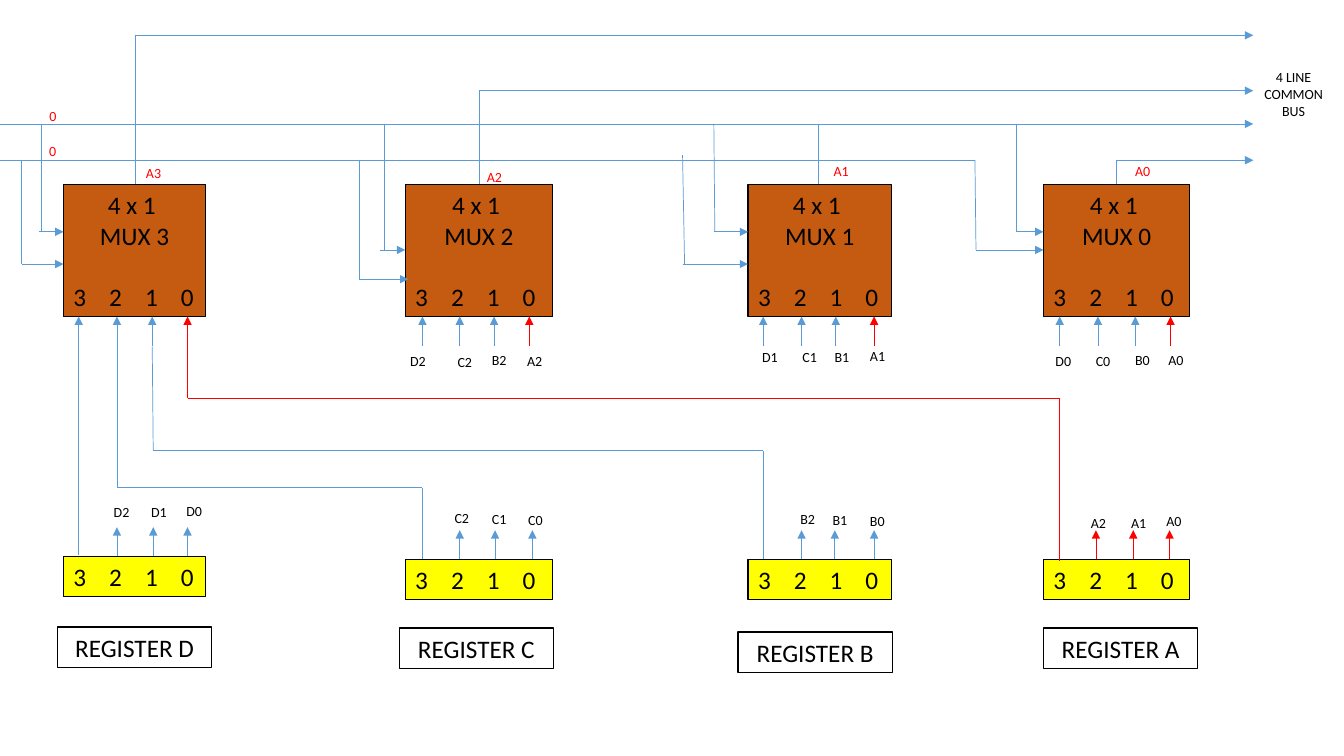
from collections import namedtuple
from itertools import pairwise

from lxml.etree import SubElement as Sub
from pptx import Presentation
from pptx.dml.color import RGBColor
from pptx.enum.shapes import MSO_CONNECTOR as Link, MSO_SHAPE as Kind
from pptx.enum.text import MSO_ANCHOR as Anchor, MSO_AUTO_SIZE as Fit, PP_ALIGN as Align
from pptx.oxml.ns import qn
from pptx.util import Inches, Pt

INK = {
    "mux": "C55A11",
    "reg": "FFFF00",
    "white": "FFFFFF",
    "black": "000000",
    "red": "FF0000",
    "blue": "5B9BD5",
}
FONT = "Calibri"
DIGITS = "3\t2\t1\t0"
TAB = 0.355
MUX_TOP, MUX_HIGH, MUX_END = 1.83, 1.31, 3.14
BAR = 0.4
STEM = 0.29
BUS_END = 12.43
HIGH, LOW = 1.23, 1.59
LABEL = 0.27

Stage = namedtuple("Stage", "name num left wide pins outs top tag ins ups")
STAGES = [
    Stage("D", 3, 0.63, 1.41, (0.78, 1.16, 1.51, 1.86), (1.16, 1.52, 1.86),
          5.52, (0.57, 6.22), (),
          ((1.03, 4.95, 0.44), (1.4, 4.95, 0.36), (1.75, 4.94, 0.47))),
    Stage("C", 2, 4.02, 1.46, (4.19, 4.56, 4.9, 5.25), (4.56, 4.91, 5.28),
          5.55, (3.96, 6.23),
          ((3.97, 3.45, 0.36), (4.44, 3.46, 0.36), (4.78, 3.44, 0.36), (5.13, 3.45, 0.36)),
          ((4.41, 5.01, 0.39), (4.78, 5.02, 0.37), (5.14, 5.03, 0.36))),
    Stage("B", 1, 7.42, 1.42, (7.57, 7.95, 8.29, 8.67), (7.95, 8.28, 8.67),
          5.55, (7.32, 6.27),
          ((7.46, 3.41, 0.4), (7.86, 3.41, 0.38), (8.18, 3.41, 0.36), (8.53, 3.4, 0.41)),
          ((7.84, 5.02, 0.46), (8.16, 5.03, 0.37), (8.53, 5.04, 0.65))),
    Stage("A", 0, 10.35, 1.45, (10.51, 10.89, 11.26, 11.61), (10.87, 11.24, 11.6),
          5.55, (10.35, 6.23),
          ((10.37, 3.45, 0.37), (10.77, 3.45, 0.36), (11.16, 3.44, 0.43), (11.49, 3.44, 0.47)),
          ((10.72, 5.06, 0.51), (11.12, 5.06, 0.45), (11.47, 5.04, 0.36))),
]

PLAIN = [
    ((0.78, 3.43), (0.78, 5.51)),
    ((1.16, 3.43), (1.16, 4.84), (4.19, 4.84), (4.19, 5.55)),
    ((1.51, 3.44), (1.52, 4.47), (7.57, 4.47), (7.57, 5.55)),
    ((8.12, MUX_TOP), (8.12, HIGH)),
    ((0, LOW), (0.39, LOW), (9.67, LOW), (9.68, 2.48), (9.82, 2.48)),
    ((0.41, HIGH), (0.41, 2.3)),
    ((0.21, LOW), (0.21, 2.62)),
    ((3.81, HIGH), (3.81, 2.48)),
    ((3.56, LOW), (3.56, 2.77)),
    ((7.08, HIGH), (7.09, 2.3)),
    ((6.77, 1.54), (6.79, 2.62)),
    ((10.08, HIGH), (10.08, 2.3)),
]
ARROWS = [
    ((0, HIGH), (0.39, HIGH), (BUS_END, HIGH)),
    ((1.34, MUX_TOP), (1.34, 0.35), (BUS_END, 0.35)),
    ((4.75, MUX_TOP), (4.75, 0.9), (BUS_END, 0.9)),
    ((11.07, MUX_TOP), (11.07, LOW), (BUS_END, LOW)),
    ((0.39, 2.3), (0.63, 2.3)),
    ((0.22, 2.62), (0.63, 2.62)),
    ((3.77, 2.48), (4.02, 2.48)),
    ((3.56, 2.77), (4.05, 2.77)),
    ((7.08, 2.3), (7.42, 2.3)),
    ((6.77, 2.62), (7.42, 2.62)),
    ((9.8, 2.48), (10.35, 2.48)),
    ((10.08, 2.3), (10.35, 2.3)),
]
RED_PATH = ((1.86, 3.43), (1.86, 3.95), (10.51, 3.95), (10.51, 5.57))
RED_TEXT = [
    ("0", 0.39, 1.02, 0.25),
    ("0", 0.39, 1.36, 0.23),
    ("A3", 1.35, 1.58, 0.37),
    ("A2", 4.73, 1.62, 0.41),
    ("A1", 8.17, 1.56, 0.41),
    ("A0", 11.16, 1.56, 0.41),
]


def tint(name):
    return RGBColor.from_string(INK[name])


def write(para, text, size, ink="black", align=Align.LEFT):
    para.alignment = align
    run = para.add_run()
    run.text = text
    run.font.name = FONT
    run.font.size = Pt(size)
    run.font.color.rgb = tint(ink)


def write_pins(para, gap=0):
    para.space_before = Pt(gap)
    write(para, DIGITS, 18)
    tabs = Sub(para._p.get_or_add_pPr(), qn("a:tabLst"))
    for step in range(1, 4):
        Sub(tabs, qn("a:tab"), pos=str(Inches(TAB * step)), algn="l")


def add_box(slide, left, top, wide, high, fill):
    box = slide.shapes.add_shape(Kind.RECTANGLE, *map(Inches, (left, top, wide, high)))
    box.shadow.inherit = False
    box.fill.solid()
    box.fill.fore_color.rgb = tint(fill)
    box.line.color.rgb = tint("black")
    box.line.width = Pt(1)
    frame = box.text_frame
    frame.word_wrap = True
    frame.auto_size = Fit.SHAPE_TO_FIT_TEXT
    frame.vertical_anchor = Anchor.MIDDLE
    return frame


def add_label(slide, text, left, top, wide, high=LABEL, ink="black", align=Align.LEFT):
    box = slide.shapes.add_textbox(*map(Inches, (left, top, wide, high)))
    frame = box.text_frame
    frame.word_wrap = True
    frame.auto_size = Fit.SHAPE_TO_FIT_TEXT
    write(frame.paragraphs[0], text, 10, ink, align)


def add_wire(slide, points, ink="blue", arrow=False):
    for start, end in pairwise(points):
        wire = slide.shapes.add_connector(Link.STRAIGHT, *map(Inches, start + end))
        wire.line.color.rgb = tint(ink)
        wire.line.width = Pt(0.5)
        props = wire._element.spPr
        if arrow and end == points[-1]:
            Sub(props.find(qn("a:ln")), qn("a:tailEnd"), type="triangle")
        Sub(props, qn("a:effectLst"))


def add_mux(slide, stage):
    frame = add_box(slide, stage.left, MUX_TOP, stage.wide, MUX_HIGH, "mux")
    write(frame.paragraphs[0], "4 x 1 ", 18, align=Align.CENTER)
    write(frame.add_paragraph(), f"MUX {stage.num}", 18, align=Align.CENTER)
    write_pins(frame.add_paragraph(), 22)
    for pin, ink in zip(stage.pins, ("blue", "blue", "blue", "red")):
        add_wire(slide, ((pin, MUX_END + STEM), (pin, MUX_END)), ink, True)
    for name, spot in zip("DCBA", stage.ins):
        add_label(slide, f"{name}{stage.num}", *spot)


def add_reg(slide, stage):
    frame = add_box(slide, stage.left, stage.top, stage.wide, BAR, "reg")
    write_pins(frame.paragraphs[0])
    ink = "red" if stage.name == "A" else "blue"
    for bit, out, spot in zip((2, 1, 0), stage.outs, stage.ups):
        add_wire(slide, ((out, stage.top), (out, stage.top - STEM)), ink, True)
        add_label(slide, f"{stage.name}{bit}", *spot)
    frame = add_box(slide, *stage.tag, 1.53, BAR, "white")
    write(frame.paragraphs[0], f"REGISTER {stage.name}", 18, align=Align.CENTER)


def main():
    deck = Presentation()
    deck.slide_width, deck.slide_height = Inches(13.33), Inches(7.5)
    slide = deck.slides.add_slide(deck.slide_layouts[6])
    for stage in STAGES:
        add_mux(slide, stage)
        add_reg(slide, stage)
    for points in PLAIN:
        add_wire(slide, points)
    for points in ARROWS:
        add_wire(slide, points, arrow=True)
    add_wire(slide, RED_PATH, "red")
    for text, *spot in RED_TEXT:
        add_label(slide, text, *spot, ink="red")
    add_label(slide, "4 LINE COMMON BUS", BUS_END, 0.63, 0.8, 0.61, align=Align.CENTER)
    deck.save("out.pptx")


if __name__ == "__main__":
    main()
